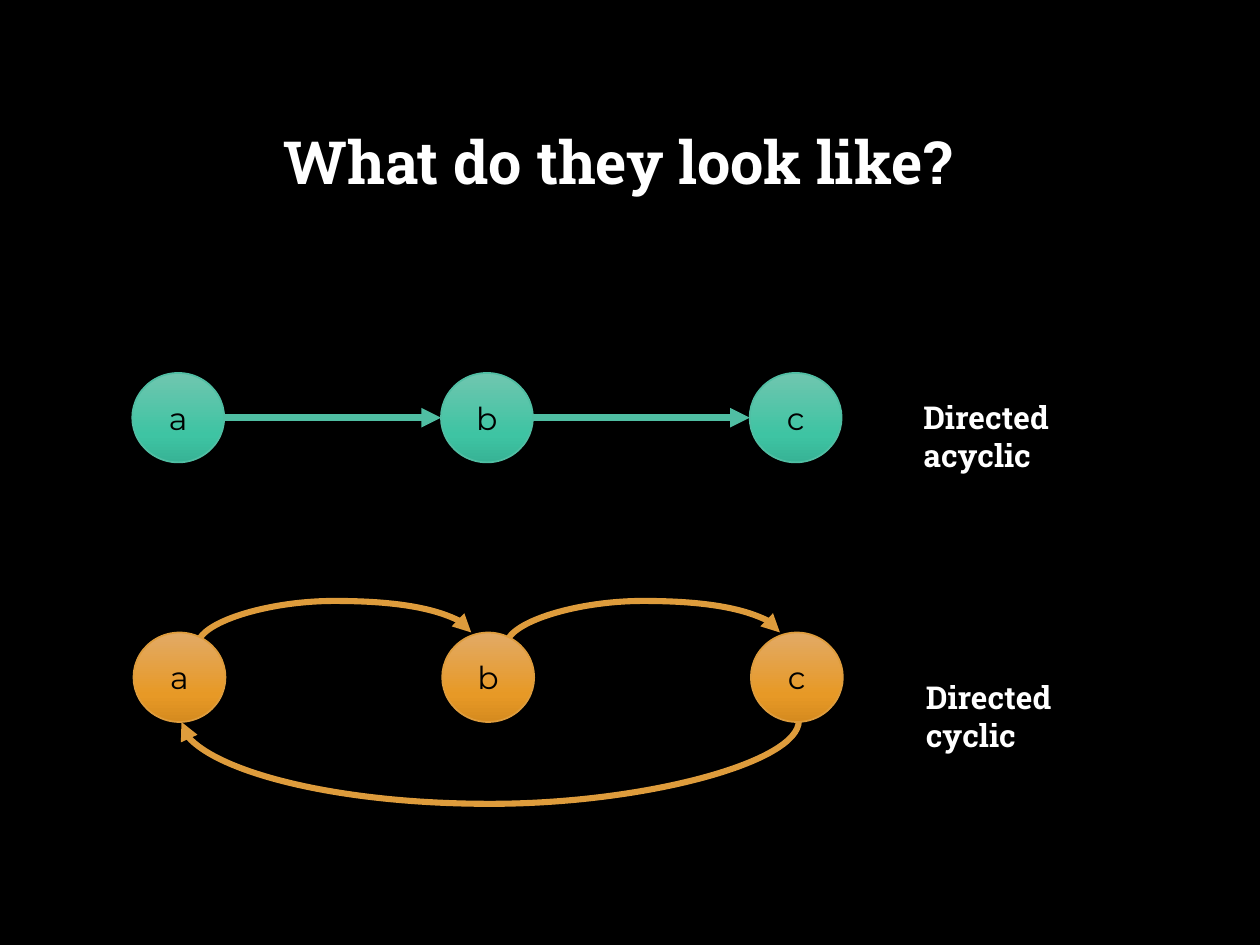
from copy import deepcopy

from pptx import Presentation
from pptx.dml.color import RGBColor
from pptx.enum.shapes import MSO_CONNECTOR, MSO_SHAPE
from pptx.enum.text import MSO_ANCHOR, PP_ALIGN
from pptx.oxml.ns import qn
from pptx.util import Inches, Pt
from lxml import etree

LINE, CURVE = MSO_CONNECTOR.STRAIGHT, MSO_CONNECTOR.CURVE
OVAL = MSO_SHAPE.OVAL
TOP, MIDDLE = MSO_ANCHOR.TOP, MSO_ANCHOR.MIDDLE
CENTER = PP_ALIGN.CENTER

HEX = {
    "back": "000000", "text": "FFFFFF", "node": "000000",
    "green": "50BEA3", "orange": "DE9C3C",
}
SHADES = {
    "green": ("70C6AF", "3EC4A3", "37B395"),
    "orange": ("E2AA66", "E79926", "D68B1F"),
}
STOPS = (0, 0.69, 1)
COLOR = {name: RGBColor.from_string(code) for name, code in HEX.items()}

STEP = 2.45             # distance between node columns
WIDE, HIGH = 0.73, 0.71  # node size
ROWS = (("green", 1.05, 2.96, "Directed acyclic", 7.23, 3.11),
        ("orange", 1.06, 5.02, "Directed cyclic", 7.25, 5.33))


def arrow(kind, start, end, hue, width, bend=None):
    """Draw an arrow; a bend is the height at which a curve levels out."""
    (x0, y0), (x1, y1) = start, end
    if bend is not None:
        # The curve runs sideways by default, so lay it out a quarter turn back
        mx, my = (x0 + x1) / 2, (y0 + y1) / 2
        share = (bend - y0) / (y1 - y0)
        x0, y0, x1, y1 = (mx + y0 - my, my - x0 + mx,
                          mx + y1 - my, my - x1 + mx)
    link = slide.shapes.add_connector(kind, *map(Inches, (x0, y0, x1, y1)))
    link.line.color.rgb = COLOR[hue]
    link.line.width = Pt(width)
    props = link._element.spPr
    if bend is not None:
        props.find(qn("a:xfrm")).set("rot", str(90 * 60000))
        guides = props.find(qn("a:prstGeom")).get_or_add_avLst()
        etree.SubElement(guides, qn("a:gd"), name="adj1",
                         fmla=f"val {round(share * 100000)}")
    etree.SubElement(props.find(qn("a:ln")), qn("a:tailEnd"), type="triangle")
    etree.SubElement(props, qn("a:effectLst"))


def style(para, face, size, hue, bold=False):
    font = para.font
    font.name, font.size, font.bold = face, Pt(size), bold
    font.color.rgb = COLOR[hue]


deck = Presentation()
deck.slide_width, deck.slide_height = Inches(10), Inches(7.5)
slide = deck.slides.add_slide(deck.slide_layouts[5])
slide.background.fill.solid()
slide.background.fill.fore_color.rgb = COLOR["back"]

title = slide.shapes.title
title.left, title.top = Inches(0.66), Inches(1.01)
title.width, title.height = Inches(8.49), Inches(1.45)
title.text = "What do they look like?"
title.text_frame.vertical_anchor = TOP
head = title.text_frame.paragraphs[0]
head.alignment, head.line_spacing = CENTER, 0.9
style(head, "Roboto Slab", 34, "text", True)

# The cycle's curves lie behind its nodes
for col in range(2):
    x = 1.57 + col * STEP
    arrow(CURVE, (x, 5.12), (x + 2.17, 5.02), "orange", 3.5, 4.77)
arrow(CURVE, (6.34, 5.72), (1.44, 5.73), "orange", 3.5, 6.39)

for hue, left, top, label, x, y in ROWS:
    for col, name in enumerate("abc"):
        node = slide.shapes.add_shape(
            OVAL, Inches(left + col * STEP), Inches(top),
            Inches(WIDE), Inches(HIGH))
        node.shadow.inherit = False
        node.fill.gradient()
        node.fill.gradient_angle = 270
        stops = node._element.spPr.find(qn("a:gradFill")).find(qn("a:gsLst"))
        stops.append(deepcopy(stops[-1]))
        for stop, shade, place in zip(node.fill.gradient_stops,
                                      SHADES[hue], STOPS):
            stop.color.rgb = RGBColor.from_string(shade)
            stop.position = place
        node.line.color.rgb = COLOR[hue]
        node.line.width = Pt(1)
        node.text_frame.text = name
        node.text_frame.vertical_anchor = MIDDLE
        para = node.text_frame.paragraphs[0]
        para.alignment = CENTER
        style(para, "Montserrat", 18, "node")
    box = slide.shapes.add_textbox(
        Inches(x), Inches(y), Inches(1.4), Inches(0.7))
    box.text_frame.word_wrap = True
    box.text_frame.text = label
    style(box.text_frame.paragraphs[0], "Roboto Slab", 18, "text", True)

hue, left, top = ROWS[0][:3]
for col in range(2):
    x, y = left + col * STEP, top + HIGH / 2
    arrow(LINE, (x + WIDE, y), (x + STEP, y), hue, 3.75)

deck.save("out.pptx")
